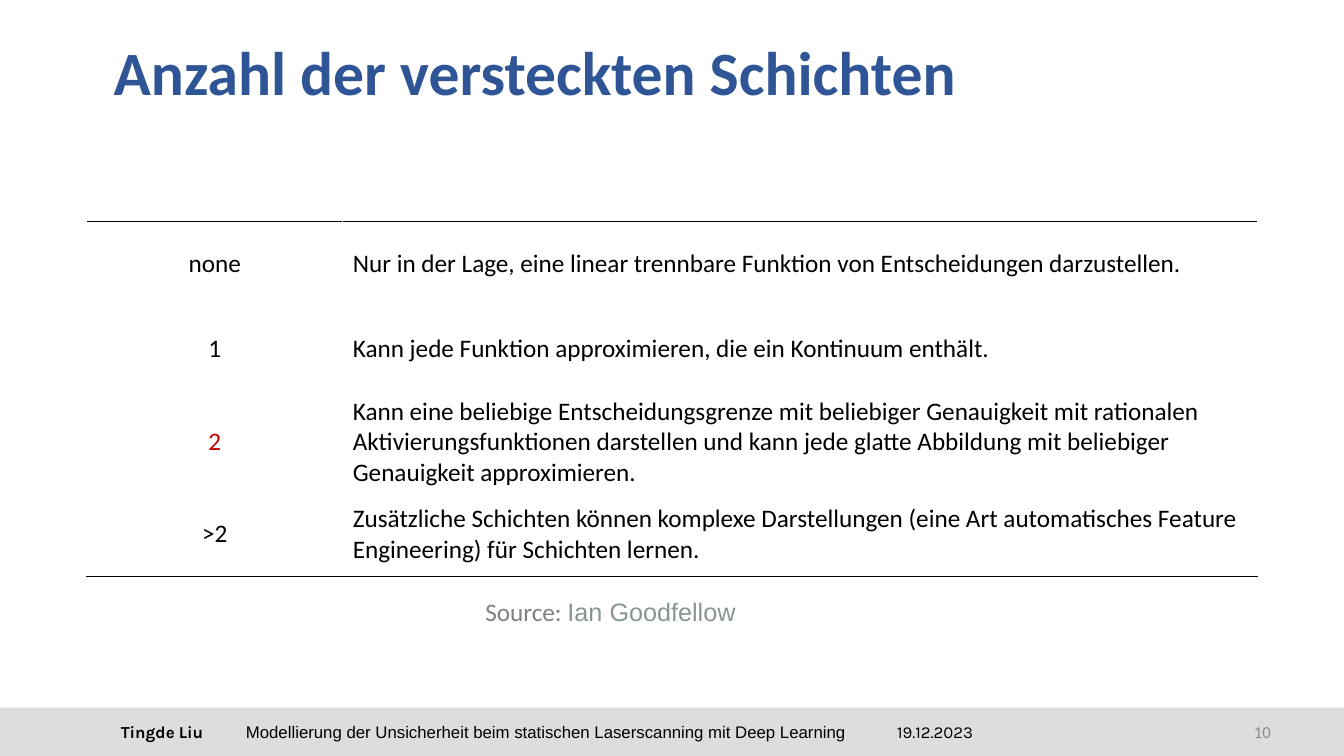
from lxml import etree
from pptx import Presentation
from pptx.dml.color import RGBColor
from pptx.enum.shapes import MSO_SHAPE
from pptx.enum.text import MSO_ANCHOR, PP_ALIGN
from pptx.oxml.ns import qn
from pptx.util import Inches, Pt

RECT = MSO_SHAPE.RECTANGLE
TOP, MIDDLE = MSO_ANCHOR.TOP, MSO_ANCHOR.MIDDLE
LEFT, CENTER = PP_ALIGN.LEFT, PP_ALIGN.CENTER

BLACK = RGBColor(0x00, 0x00, 0x00)
WHITE = RGBColor(0xFF, 0xFF, 0xFF)
BLUE = RGBColor(0x2F, 0x55, 0x97)
RED = RGBColor(0xC0, 0x00, 0x00)
BAND = RGBColor(0xDC, 0xDE, 0xDE)
GRAY = RGBColor(0x80, 0x80, 0x80)
SLATE = RGBColor(0x87, 0x95, 0x96)
PALE = RGBColor(0x8C, 0x8C, 0x8C)

LAYERS = [
    ("none", BLACK, "Nur in der Lage, eine linear trennbare Funktion von "
     "Entscheidungen darzustellen."),
    ("1", BLACK, "Kann jede Funktion approximieren, die ein Kontinuum enthält."),
    ("2", RED, "Kann eine beliebige Entscheidungsgrenze mit beliebiger "
     "Genauigkeit mit rationalen Aktivierungsfunktionen darstellen und kann "
     "jede glatte Abbildung mit beliebiger Genauigkeit approximieren."),
    (">2", BLACK, "Zusätzliche Schichten können komplexe Darstellungen (eine Art "
     "automatisches Feature Engineering) für Schichten lernen."),
]


def add_run(para, text, size, color, font="Calibri", bold=False):
    run = para.add_run()
    run.text = text
    run.font.size = Pt(size)
    run.font.name = font
    run.font.bold = bold
    run.font.color.rgb = color


def add_text(slide, left, top, width, height, align=LEFT, anchor=TOP):
    box = slide.shapes.add_textbox(
        Inches(left), Inches(top), Inches(width), Inches(height))
    frame = box.text_frame
    frame.word_wrap = True
    frame.vertical_anchor = anchor
    para = frame.paragraphs[0]
    para.alignment = align
    return para


def add_tabs(para, stops):
    tabs = etree.SubElement(para._p.get_or_add_pPr(), qn("a:tabLst"))
    for stop in stops:
        etree.SubElement(tabs, qn("a:tab"), pos=str(Inches(stop)), algn="l")


def add_band(slide):
    band = slide.shapes.add_shape(
        RECT, 0, Inches(7.02), Inches(13.33), Inches(0.48))
    band.shadow.inherit = False
    band.fill.solid()
    band.fill.fore_color.rgb = BAND
    band.line.fill.background()


def add_footer(slide):
    add_band(slide)
    para = add_text(slide, 1.1, 7.11, 10.21, 0.37)
    add_tabs(para, [1.24, 7.7])
    add_run(para, "Tingde Liu\t", 12, BLACK, "Karla", True)
    add_run(para, "Modellierung der Unsicherheit beim statischen "
            "Laserscanning mit Deep Learning\t", 12, BLACK, "Arial")
    add_run(para, "19.12.2023", 12, BLACK, "Karla")
    para = add_text(slide, 11.71, 7.02, 1.62, 0.48, CENTER, MIDDLE)
    add_run(para, "10", 12, PALE)


def add_rule(cell, side):
    line = etree.Element(qn(side), w=str(Pt(1)))
    fill = etree.SubElement(line, qn("a:solidFill"))
    etree.SubElement(fill, qn("a:srgbClr"), val=str(BLACK))
    cell._tc.get_or_add_tcPr().insert(0, line)


def fill_cell(cell, text, color, align):
    cell.fill.solid()
    cell.fill.fore_color.rgb = WHITE
    cell.vertical_anchor = MIDDLE
    para = cell.text_frame.paragraphs[0]
    para.alignment = align
    add_run(para, text, 18, color)


def add_grid(slide):
    count = len(LAYERS)
    table = slide.shapes.add_table(
        count, 2, Inches(0.86), Inches(2.2),
        Inches(11.61), Inches(0.84 * count)).table
    table.first_row = False
    table.horz_banding = False
    table.columns[0].width = Inches(2.54)
    table.columns[1].width = Inches(9.07)
    for row, (label, color, text) in enumerate(LAYERS):
        fill_cell(table.cell(row, 0), label, color, CENTER)
        fill_cell(table.cell(row, 1), text, BLACK, LEFT)
    for col in range(2):
        add_rule(table.cell(0, col), "a:lnT")
        add_rule(table.cell(count - 1, col), "a:lnB")


def main():
    deck = Presentation()
    deck.slide_width = Inches(13.33)
    deck.slide_height = Inches(7.5)
    slide = deck.slides.add_slide(deck.slide_layouts[6])
    add_footer(slide)
    title = add_text(slide, 1.03, 0.02, 11.5, 1.45, LEFT, MIDDLE)
    title.line_spacing = 0.9
    add_run(title, "Anzahl der versteckten Schichten", 44, BLUE, bold=True)
    add_grid(slide)
    source = add_text(slide, 3.89, 5.87, 4.33, 0.4, CENTER)
    add_run(source, "Source: ", 18, GRAY)
    add_run(source, "Ian Goodfellow", 18, SLATE, "Arial")
    deck.save("out.pptx")


if __name__ == "__main__":
    main()
